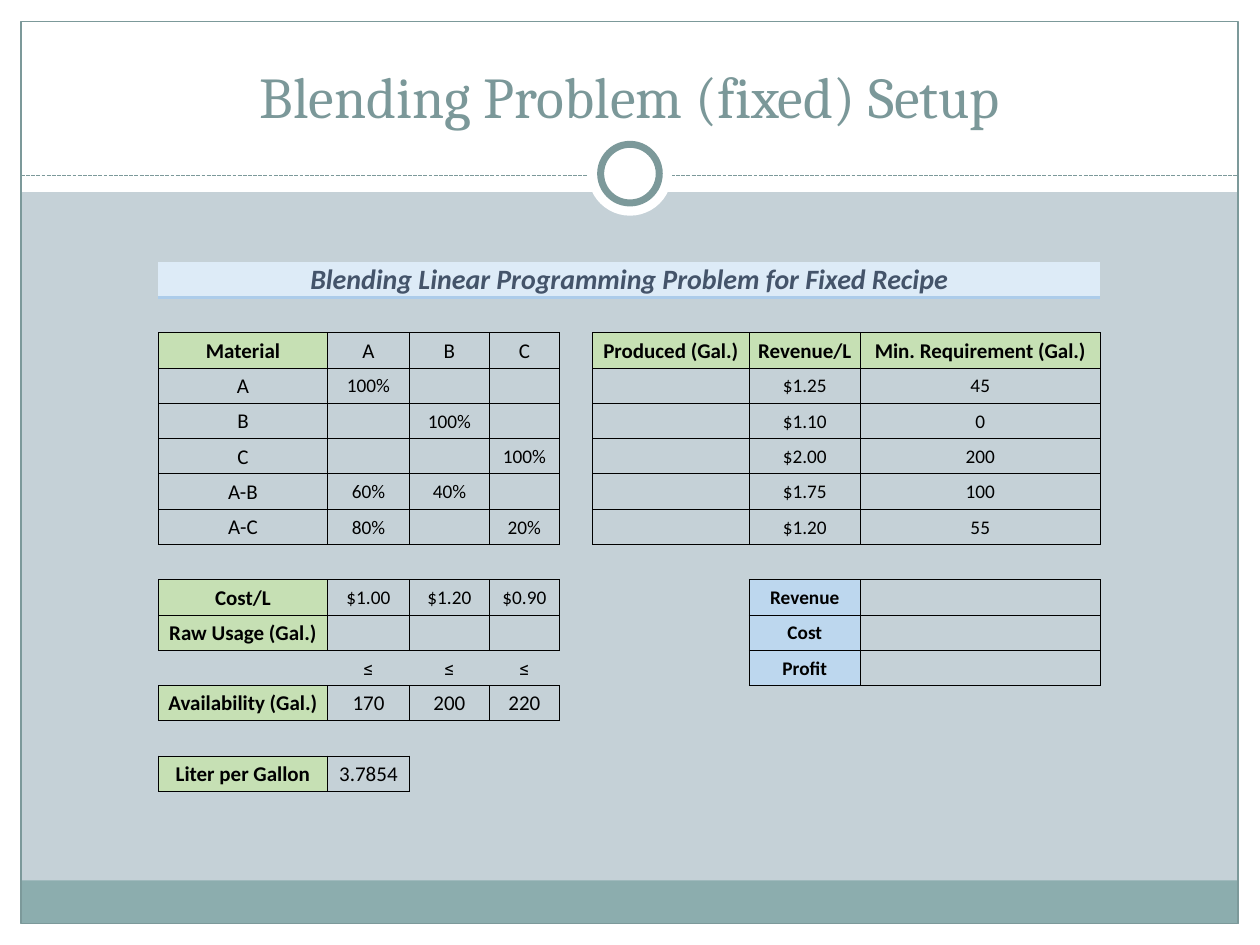
"""Build the blending problem setup slide with its spreadsheet table."""
from lxml import etree
from pptx import Presentation
from pptx import util as u
from pptx.dml import color
from pptx.enum import dml, shapes, text
from pptx.oxml import ns

COLORS = {"back": "C5D1D7", "white": "FFFFFF", "band": "8CADAE", "frame": "7C999A",
          "title": "7B9899", "banner": "DDEBF7", "rule": "ACCCEA", "heading": "44546A",
          "green": "C6E0B4", "blue": "BDD7EE", "black": "000000"}


def rgb(name):
    return color.RGBColor.from_string(COLORS[name])


def add_edge(cell, side, ink, width):
    props = cell._tc.get_or_add_tcPr()
    edge = etree.SubElement(props, ns.qn(f"a:ln{side}"), w=str(u.Pt(width)))
    if ink:
        solid = etree.SubElement(edge, ns.qn("a:solidFill"))
        etree.SubElement(solid, ns.qn("a:srgbClr"), val=COLORS[ink])
    else:
        etree.SubElement(edge, ns.qn("a:noFill"))


deck = Presentation()
deck.slide_width, deck.slide_height = u.Pt(720), u.Pt(540)
page = deck.slides.add_slide(deck.slide_layouts[5])
page.background.fill.solid()
page.background.fill.fore_color.rgb = rgb("back")

RECT, OVAL = shapes.MSO_SHAPE.RECTANGLE, shapes.MSO_SHAPE.OVAL
decorations = [
    (RECT, (0, 528, 720, 12), "white", 0),
    (RECT, (0, 0, 720, 109.7), "white", 0),
    (RECT, (0, 0, 12, 540), "white", 0),
    (RECT, (708, 0, 12, 540), "white", 0),
    (RECT, (11.75, 503, 696, 24.75), "band", 0),
    (RECT, (12, 12.25, 695.5, 515.5), None, 0.75),
    ("line", (12, 100.5, 707.5, 100.5), None, 0.75),
    (OVAL, (336, 75.25, 48, 48), "white", 0),
    (OVAL, (343.25, 82.5, 33.5, 33.5), "white", 4),
]
for kind, place, fill, width in decorations:
    place = [u.Pt(value) for value in place]
    if kind == "line":
        shape = page.shapes.add_connector(shapes.MSO_CONNECTOR.STRAIGHT, *place)
        shape.line.dash_style = dml.MSO_LINE.SQUARE_DOT
        etree.SubElement(shape.element.spPr, ns.qn("a:effectLst"))
    else:
        shape = page.shapes.add_shape(kind, *place)
        shape.shadow.inherit = False
        if fill:
            shape.fill.solid()
            shape.fill.fore_color.rgb = rgb(fill)
        else:
            shape.fill.background()
    if width:
        shape.line.color.rgb = rgb("frame")
        shape.line.width = u.Pt(width)
    else:
        shape.line.fill.background()

title = page.shapes.title
page.shapes.element.append(title.element)
title_place = {"left": 24, "top": 18, "width": 672, "height": 60}
for name, value in title_place.items():
    setattr(title, name, u.Pt(value))
title.text_frame.text = "Blending Problem (fixed) Setup"
frame_format = {"word_wrap": True, "auto_size": text.MSO_AUTO_SIZE.NONE,
                "vertical_anchor": text.MSO_ANCHOR.BOTTOM}
for name, value in frame_format.items():
    setattr(title.text_frame, name, value)
para = title.text_frame.paragraphs[0]
para.alignment = text.PP_ALIGN.CENTER
span = para.runs[0]
span.font.name, span.font.size = "Cambria", u.Pt(33)
span.font.color.rgb = rgb("title")

rows = [
    ["Blending Linear Programming Problem for Fixed Recipe"],
    [],
    ["Material", "A", "B", "C", "", "Produced (Gal.)", "Revenue/L", "Min. Requirement (Gal.)"],
    ["A", "100%", "", "", "", "", "$1.25", "45"],
    ["B", "", "100%", "", "", "", "$1.10", "0"],
    ["C", "", "", "100%", "", "", "$2.00", "200"],
    ["A-B", "60%", "40%", "", "", "", "$1.75", "100"],
    ["A-C", "80%", "", "20%", "", "", "$1.20", "55"],
    [],
    ["Cost/L", "$1.00", "$1.20", "$0.90", "", "", "Revenue"],
    ["Raw Usage (Gal.)", "", "", "", "", "", "Cost"],
    ["", "≤", "≤", "≤", "", "", "Profit"],
    ["Availability (Gal.)", "170", "200", "220"],
    [],
    ["Liter per Gallon", "3.7854"],
]
widths = [96.57, 46.86, 45.71, 40, 18.86, 89.71, 63.43, 137.14]
row_height = 20.16
blocks = [(2, 7, 0, 3), (2, 7, 5, 7), (9, 10, 0, 3), (9, 11, 6, 7), (12, 12, 0, 3), (14, 14, 0, 1)]
boxed = {(r, c) for top, bottom, first, last in blocks
         for r in range(top, bottom + 1) for c in range(first, last + 1)}
fills = {(0, c): "banner" for c in range(len(widths))}
fills.update({(r, 0): "green" for r in (2, 9, 10, 12, 14)})
fills.update({(2, c): "green" for c in (5, 6, 7)})
fills.update({(r, 6): "blue" for r in (9, 10, 11)})
sides = {"L": (0, -1), "R": (0, 1), "T": (-1, 0), "B": (1, 0)}

table = page.shapes.add_table(len(rows), len(widths), u.Pt(90.57), u.Pt(149.76),
                              u.Pt(sum(widths)), u.Pt(row_height * len(rows))).table
table.first_row = table.horz_banding = False
for column, width in zip(table.columns, widths):
    column.width = u.Pt(width)
for row in table.rows:
    row.height = u.Pt(row_height)
table.cell(0, 0).merge(table.cell(0, len(widths) - 1))

cell_format = {"margin_left": u.Pt(0.7), "margin_right": u.Pt(0.7), "margin_top": u.Pt(0.7),
               "margin_bottom": 0, "vertical_anchor": text.MSO_ANCHOR.MIDDLE}
for r, words in enumerate(rows):
    for c in range(len(widths)):
        cell = table.cell(r, c)
        for name, value in cell_format.items():
            setattr(cell, name, value)
        for side, (down, across) in sides.items():
            if (r, side) in ((0, "B"), (1, "T")):
                add_edge(cell, side, "rule", 1.5)
            else:
                ruled = boxed & {(r, c), (r + down, c + across)}
                add_edge(cell, side, "black" if ruled else None, 0.5)
        fill = fills.get((r, c))
        if fill:
            cell.fill.solid()
            cell.fill.fore_color.rgb = rgb(fill)
        else:
            cell.fill.background()
        para = cell.text_frame.paragraphs[0]
        para.alignment = text.PP_ALIGN.CENTER
        word = words[c] if c < len(words) else ""
        if not word:
            etree.SubElement(para._p, ns.qn("a:endParaRPr"), sz="1100")
            continue
        span = para.add_run()
        span.text = word
        large = r in (2, 12, 14) or c == 0
        font_format = {"name": "Roboto" if word == "≤" else "Calibri",
                       "size": u.Pt(16 if r == 0 else 12 if large else 11),
                       "bold": bool(fill), "italic": r == 0}
        for name, value in font_format.items():
            setattr(span.font, name, value)
        span.font.color.rgb = rgb("heading" if r == 0 else "black")

deck.save("out.pptx")
